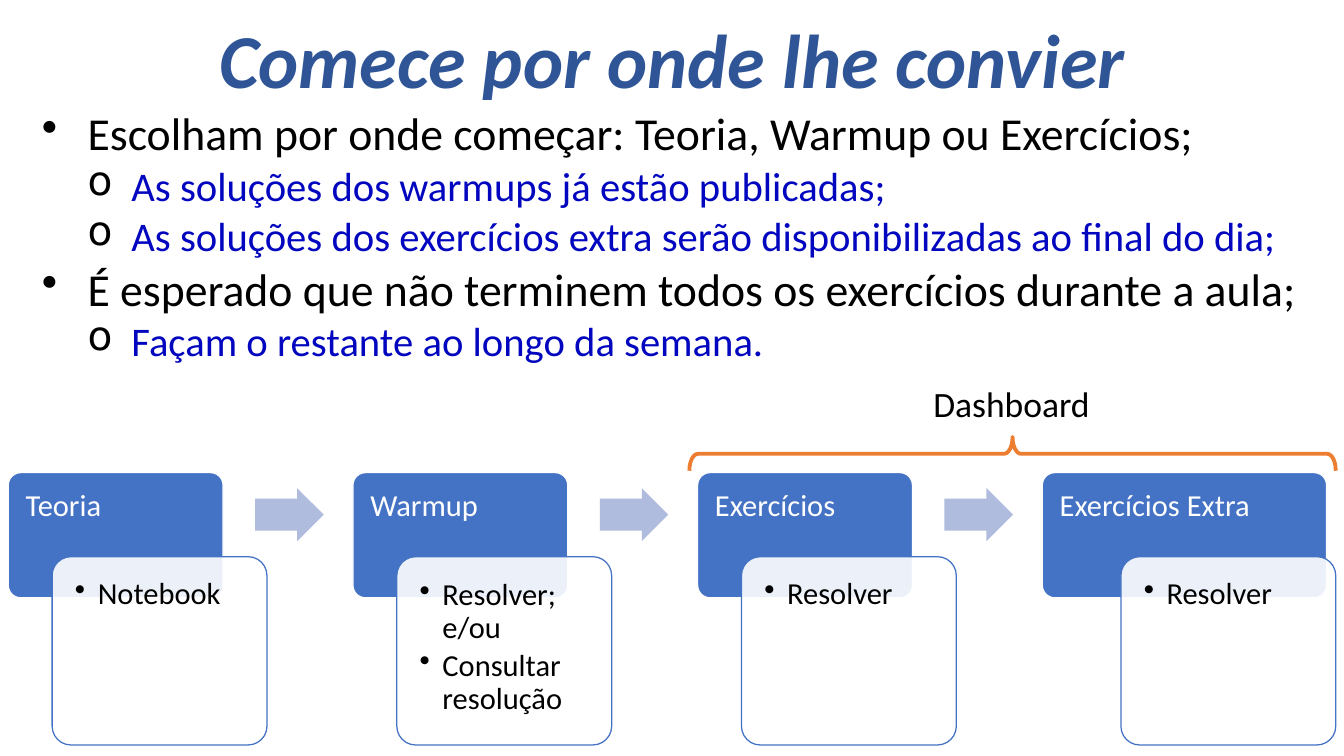
"""Build the lesson slide about choosing where to start."""
from lxml import etree
from pptx import Presentation, util as u
from pptx.dml.color import RGBColor
from pptx.enum import shapes, text
from pptx.oxml import ns

BLACK = RGBColor(0x00, 0x00, 0x00)
WHITE = RGBColor(0xFF, 0xFF, 0xFF)
NAVY = RGBColor(0x2F, 0x55, 0x97)
INK = RGBColor(0x02, 0x06, 0xBE)
BLUE = RGBColor(0x44, 0x72, 0xC4)
PALE = RGBColor(0xB0, 0xBC, 0xDE)
ORANGE = RGBColor(0xED, 0x7D, 0x31)

WIDTH, HEIGHT = 14.7, 8.27
MARGIN, PITCH = 0.09, 3.77
CARD_WIDTH, CARD_TOP, DETAIL_TOP = 2.35, 5.17, 6.09
PAD = 0.06

HEADING = {"size": 24, "color": WHITE, "line_spacing": 0.9}
DETAIL = {"size": 24, "level": 1, "line_spacing": 0.9, "space_after": u.Pt(3.6),
          "bullet": "•", "indent": (0.25, 0.25)}
TOPIC = {"size": 36, "bullet": "•", "indent": (0.5, 0.5)}
REMARK = {"size": 32, "color": INK, "level": 1, "line_spacing": 0.9,
          "space_before": u.Pt(5), "bullet": "o", "indent": (0.98, 0.48)}

ADVICE = [
    ("Escolham por onde começar: Teoria, Warmup ou Exercícios;", TOPIC),
    ("As soluções dos warmups já estão publicadas;", REMARK),
    ("As soluções dos exercícios extra serão disponibilizadas ao final do dia;", REMARK),
    ("É esperado que não terminem todos os exercícios durante a aula;", TOPIC),
    ("Façam o restante ao longo da semana.", REMARK),
]
STEPS = [
    ("Teoria", ["Notebook"], CARD_WIDTH, 0.48),
    ("Warmup", ["Resolver; e/ou", "Consultar resolução"], CARD_WIDTH, 0.48),
    ("Exercícios", ["Resolver"], CARD_WIDTH, 0.48),
    ("Exercícios Extra", ["Resolver"], 3.11, 0.86),
]


def apply(target, values):
    """Set every attribute named in the dict."""
    for name, value in values.items():
        setattr(target, name, value)


def inches(*lengths):
    """Convert lengths in inches to slide units."""
    return [u.Inches(length) for length in lengths]


def add_bullet(paragraph, mark, indent):
    """Give the paragraph a black bullet and a hanging indent."""
    props = paragraph._p.get_or_add_pPr()
    left, hanging = inches(*indent)
    props.set("marL", str(left))
    props.set("indent", str(-hanging))
    colour = etree.SubElement(props, ns.qn("a:buClr"))
    etree.SubElement(colour, ns.qn("a:srgbClr"), val=str(BLACK))
    etree.SubElement(props, ns.qn("a:buChar"), char=mark)


def add_text(slide, box, lines, insets=(0.1, 0.05, 0.1, 0.05), **frame_format):
    """Add a text box from (wording, format) lines."""
    frame = slide.shapes.add_textbox(*inches(*box)).text_frame
    sides = ("margin_left", "margin_top", "margin_right", "margin_bottom")
    apply(frame, {"word_wrap": True, **dict(zip(sides, inches(*insets))), **frame_format})
    for index, (wording, style) in enumerate(lines):
        paragraph = frame.add_paragraph() if index else frame.paragraphs[0]
        if "bullet" in style:
            add_bullet(paragraph, style["bullet"], style["indent"])
        layout = ("level", "line_spacing", "space_before", "space_after", "alignment")
        apply(paragraph, {key: style[key] for key in layout if key in style})
        run = paragraph.add_run()
        run.text = wording
        apply(run.font, {"name": "Calibri", "size": u.Pt(style["size"]),
                         "bold": style.get("bold"), "italic": style.get("italic")})
        run.font.color.rgb = style.get("color", BLACK)


def add_figure(slide, kind, box, adjustments, fill=None, line=None, weight=1, opacity=100):
    """Add a preset shape with flat fill and line."""
    figure = slide.shapes.add_shape(kind, *inches(*box))
    figure.shadow.inherit = False
    for index, value in enumerate(adjustments):
        figure.adjustments[index] = value
    for paint, colour in ((figure.fill, fill), (figure.line.fill, line)):
        if colour is None:
            paint.background()
        else:
            paint.solid()
            paint.fore_color.rgb = colour
    if line is not None:
        figure.line.width = u.Pt(weight)
    if opacity < 100:
        tint = figure._element.spPr.find(ns.qn("a:solidFill"))[0]
        etree.SubElement(tint, ns.qn("a:alpha"), val=str(opacity * 1000))
    return figure


def add_step(slide, left, heading, details, width, offset):
    """Add a heading card with its overlapping detail card."""
    rounded = shapes.MSO_SHAPE.ROUNDED_RECTANGLE
    add_figure(slide, rounded, (left, CARD_TOP, width, 1.37), [0.1], BLUE, WHITE)
    add_text(slide, (left, CARD_TOP, width, 0.91), [(heading, HEADING)],
             (0.19, 0.19, 0.19, 0.1))
    left += offset
    add_figure(slide, rounded, (left, DETAIL_TOP, CARD_WIDTH, 2.06), [0.1],
               WHITE, BLUE, opacity=90)
    add_text(slide, (left + PAD, DETAIL_TOP + PAD, CARD_WIDTH - 2 * PAD, 2.06 - 2 * PAD),
             [(detail, DETAIL) for detail in details], (0.19,) * 4)


def main():
    """Compose and save the slide."""
    deck = Presentation()
    apply(deck, {"slide_width": u.Inches(WIDTH), "slide_height": u.Inches(HEIGHT)})
    slide = deck.slides.add_slide(deck.slide_layouts[6])

    title = {"size": 60, "color": NAVY, "bold": True, "italic": True,
             "line_spacing": 0.9, "alignment": text.PP_ALIGN.CENTER}
    add_text(slide, (WIDTH / 8, 0.17, WIDTH * 0.75, 1.03),
             [("Comece por onde lhe convier", title)],
             vertical_anchor=text.MSO_ANCHOR.BOTTOM)
    add_text(slide, (0.36, 1.1, 13.97, 3.03), ADVICE,
             auto_size=text.MSO_AUTO_SIZE.SHAPE_TO_FIT_TEXT)

    for column, step in enumerate(STEPS):
        left = MARGIN + column * PITCH
        if column:
            add_figure(slide, shapes.MSO_SHAPE.RIGHT_ARROW,
                       (left - 1.07, 5.34, 0.75, 0.58), [0.6, 0.5], PALE)
        add_step(slide, left, *step)

    brace = add_figure(slide, shapes.MSO_SHAPE.LEFT_BRACE, (10.89, 1.43, 0.37, 7.07),
                       [0.25, 0.5], line=ORANGE, weight=3)
    brace.rotation = 90
    add_text(slide, (10.11, 4.13, 1.93, 0.57), [("Dashboard", {"size": 28})],
             word_wrap=False, auto_size=text.MSO_AUTO_SIZE.SHAPE_TO_FIT_TEXT)
    deck.save("out.pptx")


if __name__ == "__main__":
    main()
